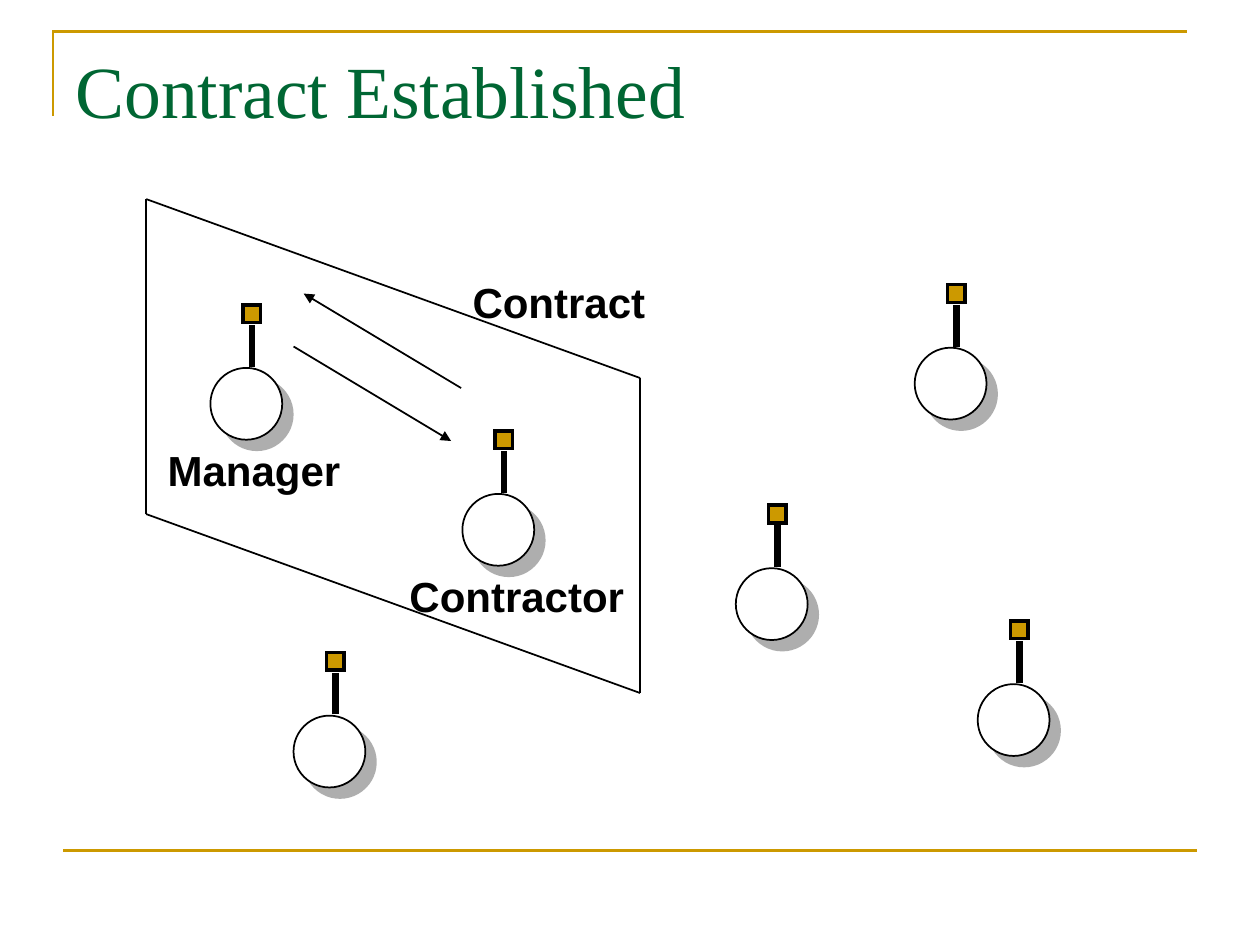
from lxml.etree import SubElement
from pptx import Presentation
from pptx.dml.color import RGBColor
from pptx.enum.shapes import MSO_CONNECTOR, MSO_SHAPE
from pptx.enum.text import MSO_ANCHOR, MSO_AUTO_SIZE
from pptx.oxml.ns import qn
from pptx.util import Inches, Pt

COLORS = {"gold": "CC9900", "green": "006633", "black": "000000",
          "white": "FFFFFF", "shadow": "5F5F5F"}

# Content
TITLE = "Contract Established"
LABELS = [  # text, left, top, width
    ("Manager", 1.26, 3.55, 1.51),
    ("Contractor", 3.18, 4.55, 1.84),
    ("Contract", 3.68, 2.22, 1.51),
]
AGENTS = [(2, 2.92), (4, 3.92), (7.59, 2.76),  # antenna x, top of body
          (6.17, 4.51), (2.66, 5.68), (8.09, 5.43)]
MESSAGES = [((2.33, 2.75), (3.58, 3.5)), ((3.66, 3.08), (2.41, 2.33))]
PANEL = [(1.16, 1.58), (5.08, 3), (5.08, 5.5), (1.16, 4.08)]

BODY, HEAD = 0.57, 0.14

prs = Presentation()
prs.slide_width, prs.slide_height = Inches(10), Inches(7.5)
slide = prs.slides.add_slide(prs.slide_layouts[6])
shapes = slide.shapes


def rgb(name):
    return RGBColor.from_string(COLORS[name])


def add_line(start, end, width=1, color="black", arrow=False):
    s = shapes.add_connector(MSO_CONNECTOR.STRAIGHT,
                             *(Inches(v) for v in (*start, *end)))
    s.line.color.rgb = rgb(color)
    s.line.width = Pt(width)
    if arrow:
        SubElement(s.line._get_or_add_ln(), qn("a:tailEnd"), type="triangle")
    SubElement(s._element.spPr, qn("a:effectLst"))


def set_outline(s, color, width):
    s.line.color.rgb = rgb(color)
    s.line.width = Pt(width)
    SubElement(s.line._get_or_add_ln(), qn("a:miter"), lim="800000")
    s.shadow.inherit = False


def add_solid(kind, left, top, size, fill, width):
    s = shapes.add_shape(kind, *(Inches(v) for v in (left, top, size, size)))
    s.fill.solid()
    s.fill.fore_color.rgb = rgb(fill)
    set_outline(s, "black", width)
    return s


def add_drop_shadow(s):
    effects = s._element.spPr.find(qn("a:effectLst"))
    shadow = SubElement(effects, qn("a:outerShdw"), dist=str(Pt(8.5)),
                        dir=str(45 * 60000), algn="ctr", rotWithShape="0")
    color = SubElement(shadow, qn("a:srgbClr"), val=COLORS["shadow"])
    SubElement(color, qn("a:alpha"), val="50000")


def add_agent(x, top):
    body = add_solid(MSO_SHAPE.OVAL, x - 0.33, top, BODY, "white", 1)
    add_drop_shadow(body)
    add_line((x, top - 0.34), (x, top - 0.01), 4)
    add_solid(MSO_SHAPE.RECTANGLE, x - HEAD / 2, top - 0.5, HEAD, "gold", 2)


def add_text(text, box, insets, size, font, color, bold=False):
    tf = shapes.add_textbox(*(Inches(v) for v in box)).text_frame
    (tf.margin_left, tf.margin_top,
     tf.margin_right, tf.margin_bottom) = (Inches(v) for v in insets)
    tf.vertical_anchor = MSO_ANCHOR.TOP
    tf.text = text
    f = tf.paragraphs[0].runs[0].font
    f.size, f.name, f.bold = Pt(size), font, bold
    f.color.rgb = rgb(color)
    return tf


# Frame lines
corner = shapes.build_freeform(Inches(0.42), Inches(0.92))
corner.add_line_segments([(Inches(0.42), Inches(0.25)),
                          (Inches(9.42), Inches(0.25))], close=False)
s = corner.convert_to_shape()
s.fill.background()
set_outline(s, "gold", 1.5)
add_line((0.5, 6.75), (9.5, 6.75), 1.5, "gold")

# Agents
for x, top in AGENTS:
    add_agent(x, top)

# Messages between manager and contractor
for start, end in MESSAGES:
    add_line(start, end, arrow=True)

# Contract panel
for start, end in zip(PANEL, PANEL[1:] + PANEL[:1]):
    add_line(start, end)

# Labels
for text, left, top, width in LABELS:
    tf = add_text(text, (left, top, width, 0.4), (0.07, 0.03, 0, 0.03), 24,
                  "Arial", "black", bold=True)
    tf.word_wrap = False
    tf.auto_size = MSO_AUTO_SIZE.SHAPE_TO_FIT_TEXT
    tf.paragraphs[0].line_spacing = 0.87

# Title
tf = add_text(TITLE, (0.5, 0.3, 9, 1.25), (0.1, 0.06, 0.1, 0.05), 42,
              "Times New Roman", "green")
tf.word_wrap = True

prs.save("out.pptx")
